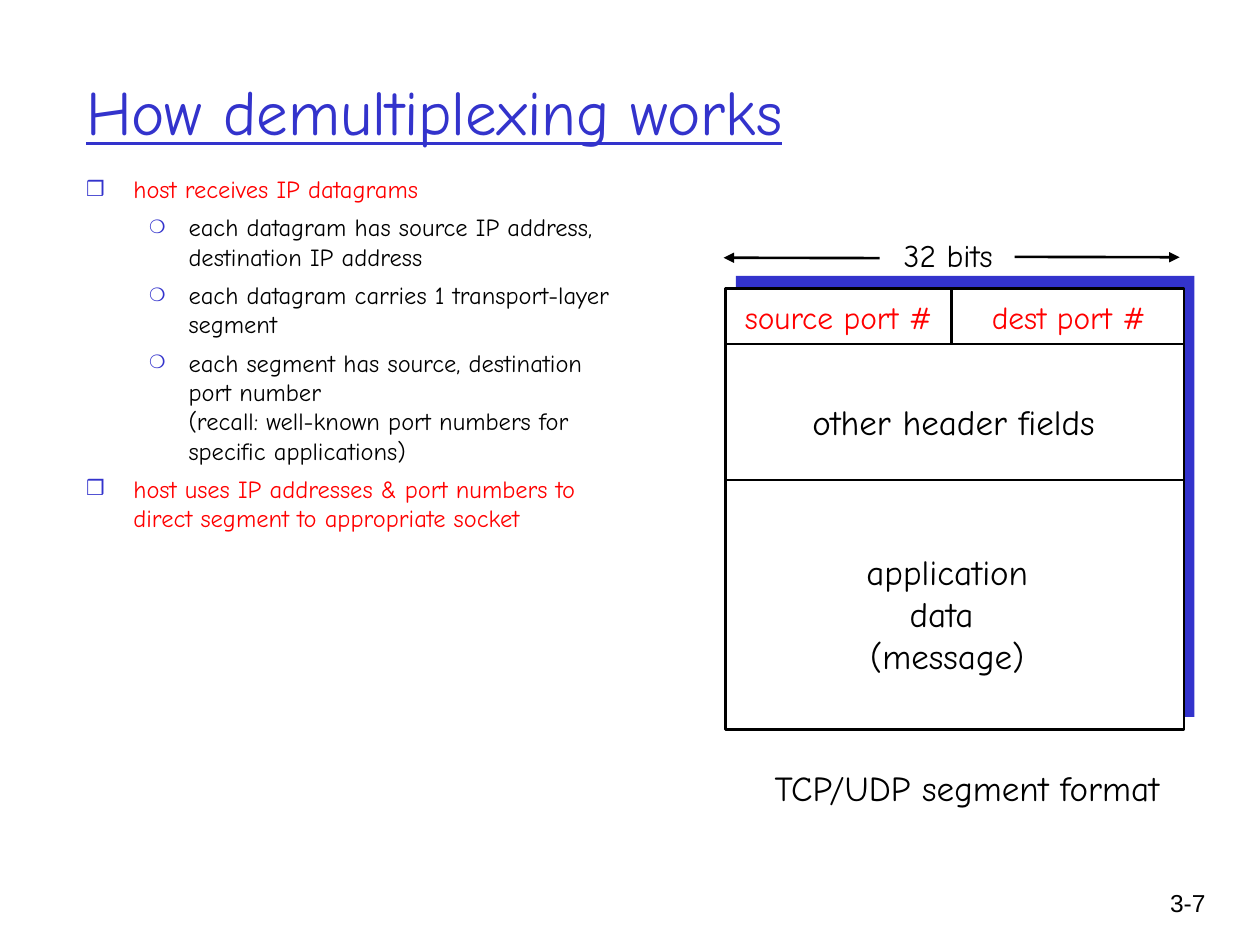
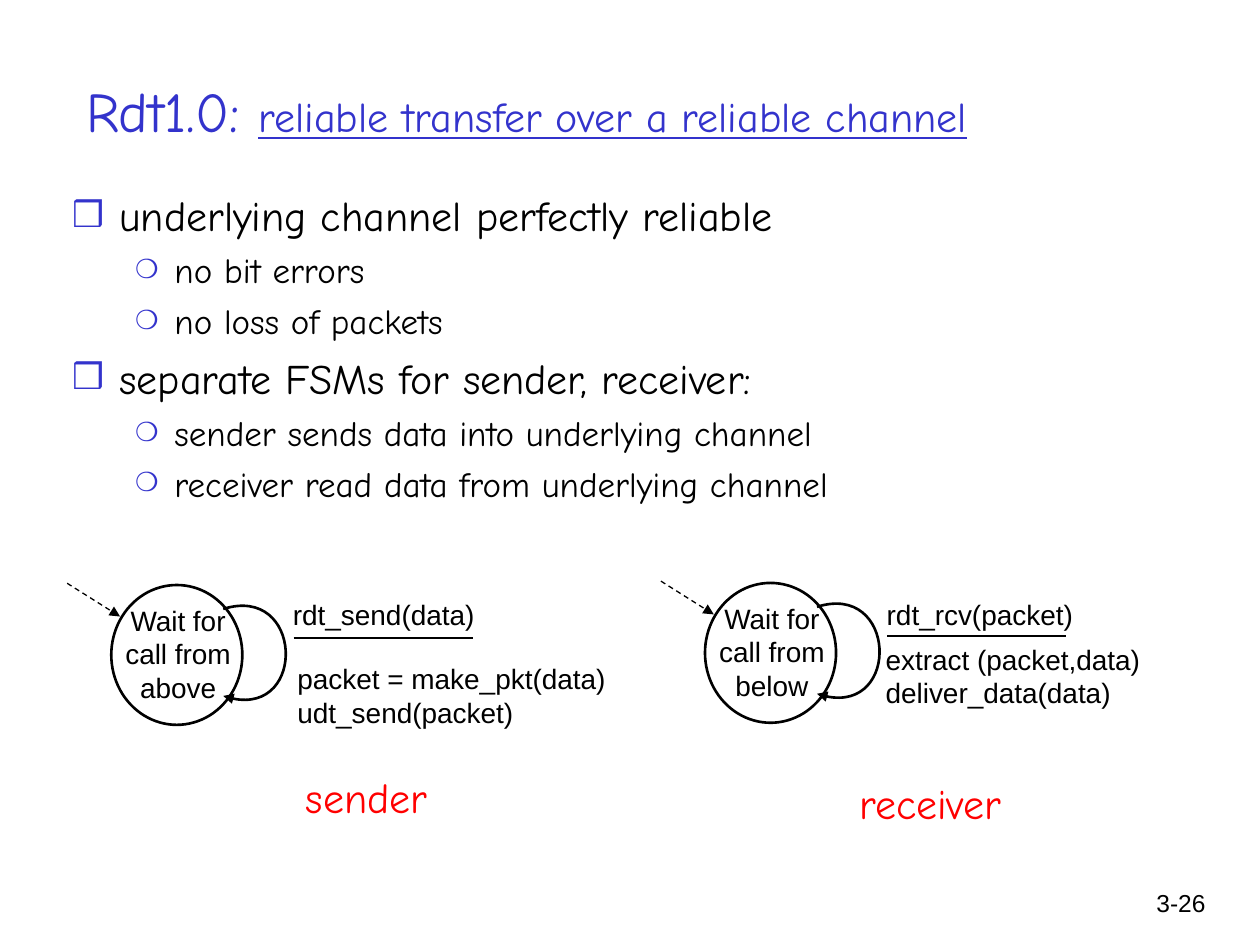
from lxml import etree
from pptx import Presentation
from pptx.dml.color import RGBColor
from pptx.enum.dml import MSO_LINE as Dash
from pptx.enum.shapes import MSO_CONNECTOR as Conn, MSO_SHAPE as Shape
from pptx.enum.text import MSO_ANCHOR as Anchor, MSO_AUTO_SIZE as Fit, PP_ALIGN as Align
from pptx.oxml.ns import qn
from pptx.util import Pt

# Shared look
HEX = {"blue": "3333CC", "red": "FF0000", "black": "000000", "white": "FFFFFF"}
HAND, SANS = "Comic Neue", "Arial"
# Per level: left margin, hanging indent, bullet, bullet size
LEVELS = [(27, -27, "❒", "85000"), (58.5, -22.5, "❍", "75000")]

# Slide 1: title runs are (text, size, underlined); points are (level, text, colour)
DEMUX = {
    "page": "3-7",
    "title": [("How demultiplexing works", 36, True)],
    "width": 612,
    "body": (42, 96, 324, 220),
    "sizes": (14, 14),
    "gaps": (5, 5),
    "points": [
        (0, "host receives IP datagrams", "red"),
        (1, "each datagram has source IP address, destination IP address", "black"),
        (1, "each datagram carries 1 transport-layer segment", "black"),
        (1, "each segment has source, destination port number \v"
            "(recall: well-known port numbers for specific applications)", "black"),
        (0, "host uses IP addresses & port numbers to direct segment to "
            "appropriate socket", "red"),
    ],
}
# Segment frame, its inner lines, and labels (lines, centre x, top, size, colour)
SEG = (414.5, 164.9, 262, 252)
SHADE = (6, -7.2)
ROWS, SPLIT = (196.6, 274.3), 543.6
LABELS = [
    (["32 bits"], 541.8, 131.3, 18, "black"),
    (["source port #"], 479.2, 167, 18, "red"),
    (["dest port #"], 610.7, 167, 18, "red"),
    (["other header fields"], 545, 225.4, 20, "black"),
    (["application", "data ", "(message)"], 541.3, 311, 20, "black"),
    (["TCP/UDP segment format"], 552.6, 434.2, 20, "black"),
]
SPANS = [(579.8, 146.8, 674.1, 147), (502.6, 147.5, 413.5, 147.3)]

# Slide 2
RDT = {
    "page": "3-26",
    "title": [("Rdt1.0: ", 32, False),
              ("reliable transfer over a reliable channel", 24, True)],
    "width": 630,
    "body": (34, 104.8, 622, 238),
    "sizes": (24, 20),
    "gaps": (6, 5),
    "points": [
        (0, "underlying channel perfectly reliable", "black"),
        (1, "no bit errors", "black"),
        (1, "no loss of packets", "black"),
        (0, "separate FSMs for sender, receiver:", "black"),
        (1, "sender sends data into underlying channel", "black"),
        (1, "receiver read data from underlying channel", "black"),
    ],
}
# Each machine: corner of its state, then texts with their places
FSMS = [
    {"at": (63.6, 334.3), "state": "Wait for call from above",
     "event": "rdt_send(data)", "acts": ["packet = make_pkt(data)", "udt_send(packet)"],
     "acts at": (162.9, 374.6), "role": "sender", "role at": (209.5, 437.3)},
    {"at": (402.9, 333.1), "state": "Wait for call from below",
     "event": "rdt_rcv(packet)", "acts": ["extract (packet,data)", "deliver_data(data)"],
     "acts at": (499, 363.4), "role": "receiver", "role at": (531.6, 440.6)},
]
EVENT_Y = 337.7
LOOP = [(64, 13.7), (109.4, -0.7), (112.3, 79.9), (64, 63.4)]


def rgb(name):
    return RGBColor.from_string(HEX[name])


def style(font, size, hue, face):
    font.size, font.name = Pt(size), face
    font.color.rgb = rgb(hue)


def write(slide, lines, box, size, hue="black", face=SANS, align=Align.LEFT):
    frame = slide.shapes.add_textbox(*map(Pt, box)).text_frame
    frame.word_wrap = True
    frame.text = "\n".join(lines)
    for para in frame.paragraphs:
        para.alignment = align
        style(para.font, size, hue, face)


def label(slide, lines, mid, top, size, hue):
    """Centre text at mid, in a box wide enough for its longest line."""
    wide = round(max(map(len, lines)) * size * 0.55 + 14.4, 1)
    box = (mid - wide / 2, top, wide, len(lines) * size * 1.2 + 7.2)
    write(slide, lines, box, size, hue, HAND, Align.CENTER)


def ink(line, width=1.5, arrow=False, dash=False):
    line.width = Pt(width)
    line.color.rgb = rgb("black")
    if dash:
        line.dash_style = Dash.DASH
    if arrow:
        etree.SubElement(line._get_or_add_ln(), qn("a:tailEnd"), type="triangle")


def rule(slide, ends, **look):
    conn = slide.shapes.add_connector(Conn.STRAIGHT, *map(Pt, ends))
    ink(conn.line, **look)
    etree.SubElement(conn._element.spPr, qn("a:effectLst"))


def block(slide, kind, box, hue, edge=True):
    shape = slide.shapes.add_shape(kind, *map(Pt, box))
    shape.shadow.inherit = False
    shape.fill.solid()
    shape.fill.fore_color.rgb = rgb(hue)
    if edge:
        ink(shape.line)
    else:
        shape.line.fill.background()


def curve(slide, points):
    start, *rest = [(Pt(x), Pt(y)) for x, y in points]
    pen = slide.shapes.build_freeform(*start)
    pen.add_line_segments(rest, close=False)
    shape = pen.convert_to_shape()
    # Join the three straight steps into one cubic curve
    steps = list(shape._element.iter(qn("a:lnTo")))
    bend = etree.SubElement(steps[0].getparent(), qn("a:cubicBezTo"))
    for step in steps:
        bend.append(step[0])
        step.getparent().remove(step)
    shape.shadow.inherit = False
    shape.fill.background()
    ink(shape.line, arrow=True)


def place(shape, box):
    shape.left, shape.top, shape.width, shape.height = map(Pt, box)
    frame = shape.text_frame
    frame.word_wrap, frame.auto_size = True, Fit.NONE
    return frame


def bullet(para, level):
    left, hang, mark, size = LEVELS[level]
    props = para._p.get_or_add_pPr()
    props.set("marL", str(Pt(left)))
    props.set("indent", str(Pt(hang)))
    tint = etree.SubElement(props, qn("a:buClr"))
    etree.SubElement(tint, qn("a:srgbClr"), val=HEX["blue"])
    etree.SubElement(props, qn("a:buSzPct"), val=size)
    etree.SubElement(props, qn("a:buChar"), char=mark)


def start(deck, data):
    """Add a slide with title, bullet list and page number."""
    slide = deck.slides.add_slide(deck.slide_layouts[1])
    frame = place(slide.shapes.title, (42, 18, data["width"], 90))
    frame.vertical_anchor = Anchor.MIDDLE
    head = frame.paragraphs[0]
    head.alignment = Align.LEFT
    for text, size, under in data["title"]:
        run = head.add_run()
        run.text = text
        style(run.font, size, "blue", HAND)
        run.font.underline = under

    frame = place(slide.placeholders[1], data["body"])
    for i, (level, text, hue) in enumerate(data["points"]):
        para = frame.add_paragraph() if i else frame.paragraphs[0]
        para.text, para.level = text, level
        para.space_before = Pt(data["gaps"][level] if i else 0)
        bullet(para, level)
        style(para.font, data["sizes"][level], hue, HAND)

    write(slide, [data["page"]], (642.7, 504, 53.3, 36), 14, align=Align.RIGHT)
    return slide


def segment(slide):
    x, y, w, h = SEG
    block(slide, Shape.RECTANGLE, (x + SHADE[0], y + SHADE[1], w, h), "blue", False)
    block(slide, Shape.RECTANGLE, SEG, "white")
    for row in ROWS:
        rule(slide, (x, row, x + w, row))
    rule(slide, (SPLIT, ROWS[0], SPLIT, y))
    for ends in SPANS:
        rule(slide, ends, arrow=True)
    for item in LABELS:
        label(slide, *item)


def machine(slide, fsm):
    x, y = fsm["at"]
    block(slide, Shape.OVAL, (x, y, 74.9, 79.9), "white")
    write(slide, [fsm["state"]], (x - 5, y + 7, 86.4, 72), 16, align=Align.CENTER)
    curve(slide, [(x + dx, y + dy) for dx, dy in LOOP])
    rule(slide, (x - 25.2, y - 1, x + 5, y + 18), width=0.75, arrow=True, dash=True)
    # Event above the line, actions below
    write(slide, [fsm["event"]], (x + 96.7, EVENT_Y, 178, 27), 16)
    rule(slide, (x + 104.2, y + 30.3, x + 206.4, y + 30.3))
    write(slide, fsm["acts"], (*fsm["acts at"], 200, 46), 16)
    label(slide, [fsm["role"]], *fsm["role at"], 24, "red")


def main():
    deck = Presentation()
    deck.slide_width, deck.slide_height = Pt(720), Pt(540)
    segment(start(deck, DEMUX))
    slide = start(deck, RDT)
    for fsm in FSMS:
        machine(slide, fsm)
    deck.save("out.pptx")


if __name__ == "__main__":
    main()
